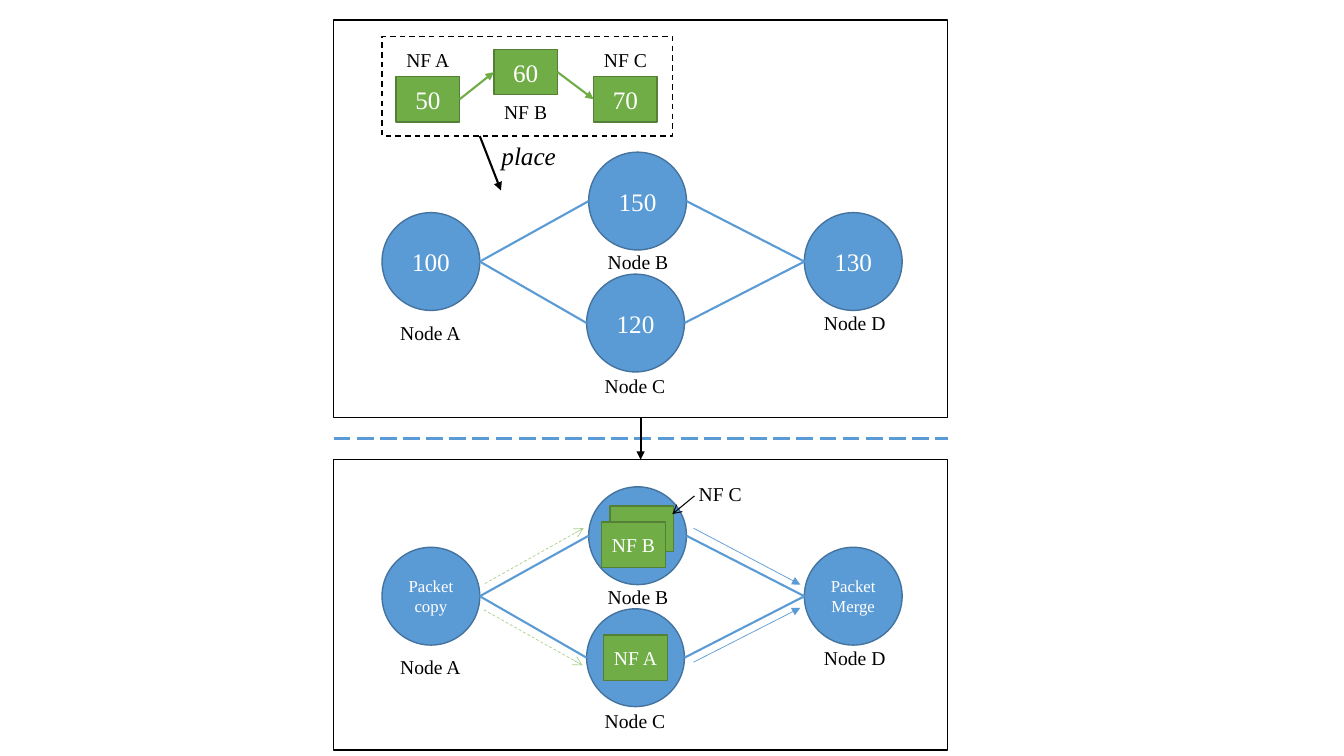
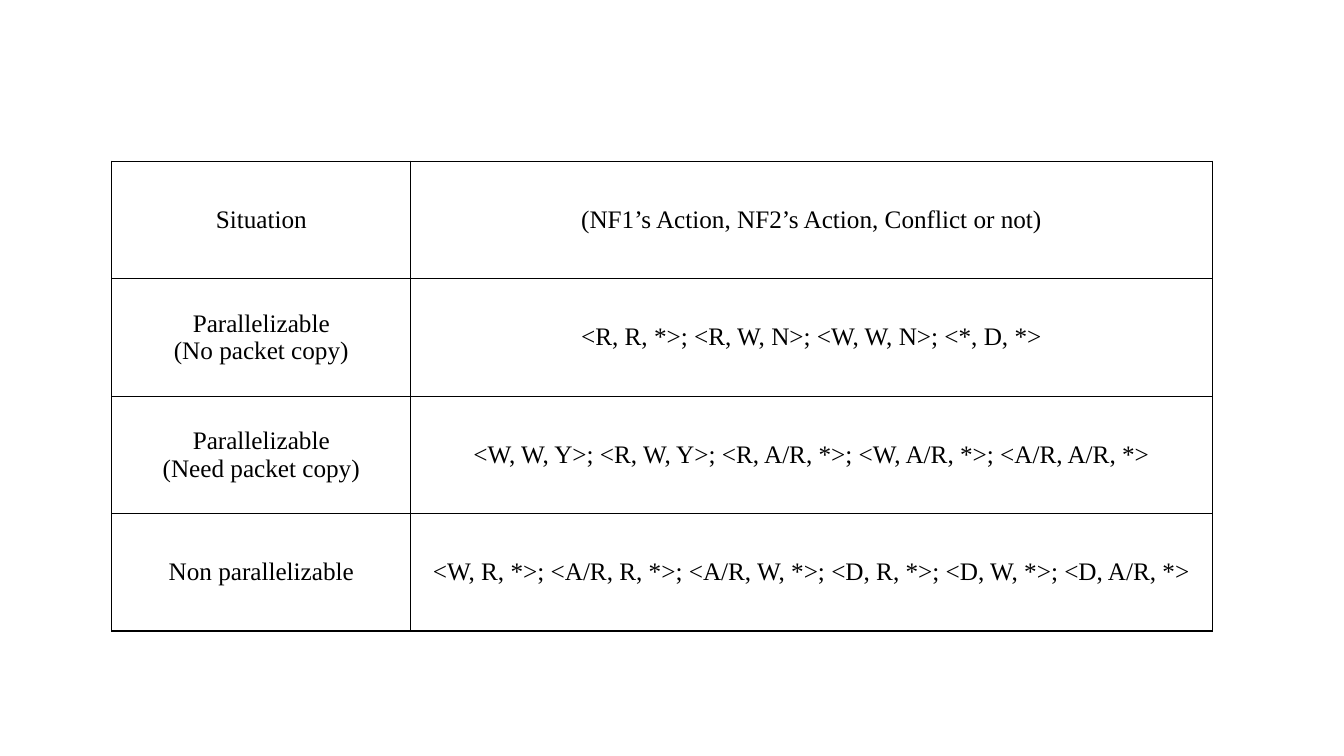
from lxml.etree import SubElement
from pptx import Presentation
from pptx.dml.color import RGBColor
from pptx.enum.dml import MSO_LINE
from pptx.enum.shapes import MSO_CONNECTOR, MSO_SHAPE
from pptx.enum.text import MSO_ANCHOR, PP_ALIGN
from pptx.oxml.ns import qn
from pptx.util import Inches, Pt

# Shared style
FONT = "Times New Roman"
COLORS = {
    "black": "000000", "white": "FFFFFF",
    "blue": "5B9BD5", "dark_blue": "43739E",
    "green": "70AD47", "dark_green": "538035", "light_green": "A9D18E",
}
LARGE, MEDIUM, SMALL = 18, 14, 12

# All lengths are columns and rows of a square grid with this cell, in inches
CELL = 0.1
COLUMNS, ROWS = 133.33, 75

# Elements that occur more than once
DIAMETER = 9.7
FUNCTION_SIZE = (6.3, 4.5)
LABEL_HEIGHT = 3.4
PANEL_LEFT, PANEL_WIDTH = 33.1, 60.9
STAGE_SHIFT = 33.2

# Node name: circle's left and top, label's left and top
NODES = {
    "A": (37.9, 21.1, 38.2, 31.3),
    "B": (58.4, 15.1, 58.8, 24.3),
    "C": (58.2, 27.2, 58.5, 36.6),
    "D": (79.8, 21.1, 80.3, 30.4),
}
LINKS = ("AB", "AC", "BD", "CD")

TABLE_ROWS = [
    ("Situation", "(NF1’s Action, NF2’s Action, Conflict or not)"),
    ("Parallelizable\n(No packet copy)", "<R, R, *>; <R, W, N>; <W, W, N>; <*, D, *>"),
    ("Parallelizable\n(Need packet copy)",
     "<W, W, Y>; <R, W, Y>; <R, A/R, *>; <W, A/R, *>; <A/R, A/R, *>"),
    ("Non parallelizable",
     "<W, R, *>; <A/R, R, *>; <A/R, W, *>; <D, R, *>; <D, W, *>; <D, A/R, *>"),
]


def grid(*cells):
    return [Inches(count * CELL) for count in cells]


def color(name):
    return RGBColor.from_string(COLORS[name])


def write(text_frame, text, size, color_name, italic=False):
    """Write centred paragraphs, one for each line of the text."""
    for index, line in enumerate(text.split("\n")):
        paragraph = text_frame.add_paragraph() if index else text_frame.paragraphs[0]
        paragraph.alignment = PP_ALIGN.CENTER
        run = paragraph.add_run()
        run.text = line
        run.font.name = FONT
        run.font.size = Pt(size)
        run.font.italic = italic
        run.font.color.rgb = color(color_name)


def add_box(slide, kind, area, fill, outline, text="", size=LARGE, dash=None):
    shape = slide.shapes.add_shape(kind, *grid(*area))
    shape.shadow.inherit = False
    if fill:
        shape.fill.solid()
        shape.fill.fore_color.rgb = color(fill)
    else:
        shape.fill.background()
    shape.line.color.rgb = color(outline)
    shape.line.width = Pt(1)
    if dash:
        shape.line.dash_style = dash
    if text:
        shape.text_frame.word_wrap = False
        shape.text_frame.vertical_anchor = MSO_ANCHOR.MIDDLE
        write(shape.text_frame, text, size, "white")


def add_panel(slide, *area, dash=None):
    add_box(slide, MSO_SHAPE.RECTANGLE, area, None, "black", dash=dash)


def add_function(slide, left, top, text="", size=MEDIUM):
    add_box(slide, MSO_SHAPE.RECTANGLE, (left, top, *FUNCTION_SIZE),
            "green", "dark_green", text, size)


def add_label(slide, left, top, width, text, size=MEDIUM, height=LABEL_HEIGHT, italic=False):
    text_box = slide.shapes.add_textbox(*grid(left, top, width, height))
    text_box.text_frame.word_wrap = False
    write(text_box.text_frame, text, size, "black", italic)


def add_line(slide, start, end, color_name, width=1.5, dash=None, arrowhead=None):
    connector = slide.shapes.add_connector(MSO_CONNECTOR.STRAIGHT, *grid(*start, *end))
    connector.line.color.rgb = color(color_name)
    connector.line.width = Pt(width)
    if dash:
        connector.line.dash_style = dash
    properties = connector._element.spPr
    if arrowhead:
        SubElement(properties.find(qn("a:ln")), qn("a:tailEnd"), type=arrowhead)
    SubElement(properties, qn("a:effectLst"))


def add_network(slide, texts, size, shift=0):
    """Draw the four nodes with their links and labels, moved down by shift rows."""
    for name, (left, top, _, _) in NODES.items():
        add_box(slide, MSO_SHAPE.OVAL, (left, top + shift, DIAMETER, DIAMETER),
                "blue", "dark_blue", texts.get(name, ""), size)
    for source, target in LINKS:
        left, top = NODES[source][:2]
        end_left, end_top = NODES[target][:2]
        middle = DIAMETER / 2 + shift
        add_line(slide, (left + DIAMETER, top + middle), (end_left, end_top + middle), "blue")
    for name, (_, _, left, top) in NODES.items():
        add_label(slide, left, top + shift, 9, f"Node {name}")


def add_chain(slide):
    """Draw the chain of network functions that is to be placed."""
    width, height = FUNCTION_SIZE
    chain = [("A", "50", 39.3, 7.6, 4.3), ("B", "60", 49, 4.9, 9.4), ("C", "70", 58.9, 7.6, 4.3)]
    add_panel(slide, 37.9, 3.6, 28.8, 9.9, dash=MSO_LINE.DASH)
    for name, load, left, top, label_top in chain:
        add_function(slide, left, top, load, LARGE)
        add_label(slide, left, label_top, width, f"NF {name}")
    for (_, _, left, top, _), (_, _, next_left, next_top, _) in zip(chain, chain[1:]):
        add_line(slide, (left + width, top + height / 2), (next_left, next_top + height / 2),
                 "green", arrowhead="triangle")
    add_line(slide, (47.6, 13.5), (49.7, 18.9), "black", arrowhead="triangle")
    add_label(slide, 48.7, 13.4, 7.5, "place", LARGE, height=4, italic=True)


def add_packet_flows(slide):
    for start, end in [((48.1, 57.9), (57.9, 52.4)), ((48, 60.5), (57.8, 66))]:
        add_line(slide, start, end, "light_green", 0.5, MSO_LINE.DASH, "arrow")
    for start, end in [((68.8, 65.7), (79.4, 60.3)), ((68.8, 52.4), (79.4, 58))]:
        add_line(slide, start, end, "blue", 0.5, arrowhead="triangle")


def build_placement_slide(slide):
    # Panels and the step between them
    right, middle = PANEL_LEFT + PANEL_WIDTH, PANEL_LEFT + PANEL_WIDTH / 2
    add_panel(slide, PANEL_LEFT, 2, PANEL_WIDTH, 39.4)
    add_panel(slide, PANEL_LEFT, 45.6, PANEL_WIDTH, 28.8)
    add_line(slide, (PANEL_LEFT, 43.5), (right, 43.5), "blue", dash=MSO_LINE.LONG_DASH)
    add_line(slide, (middle, 41.4), (middle, 45.6), "black", arrowhead="triangle")
    # Before placement
    add_network(slide, {"A": "100", "B": "150", "C": "120", "D": "130"}, LARGE)
    add_chain(slide)
    # After placement
    add_network(slide, {"A": "Packet\ncopy", "D": "Packet\nMerge"}, SMALL, STAGE_SHIFT)
    add_function(slide, 59.9, 63, "NF A")
    add_function(slide, 60.5, 50.2)
    add_function(slide, 59.7, 51.8, "NF B")
    add_line(slide, (68.9, 49.2), (66.7, 51), "black", 0.75, arrowhead="arrow")
    add_label(slide, 68.3, 47.3, FUNCTION_SIZE[0], "NF C")
    add_packet_flows(slide)


def format_cell(cell, text):
    cell.margin_left = cell.margin_right = Inches(0.07)
    cell.margin_top = cell.margin_bottom = 0
    cell.vertical_anchor = MSO_ANCHOR.MIDDLE
    properties = cell._tc.get_or_add_tcPr()
    for side in ("lnL", "lnR", "lnT", "lnB"):
        border = SubElement(properties, qn(f"a:{side}"), w=str(Pt(1)))
        fill = SubElement(border, qn("a:solidFill"))
        SubElement(fill, qn("a:srgbClr"), val=COLORS["black"])
    cell.fill.background()
    write(cell.text_frame, text, LARGE, "black")


def build_table_slide(slide):
    widths, row_height = (29.65, 79.5), 11.65
    area = (11.1, 16, sum(widths), row_height * len(TABLE_ROWS))
    table = slide.shapes.add_table(len(TABLE_ROWS), len(widths), *grid(*area)).table
    table.first_row = table.horz_banding = False
    for column, width in zip(table.columns, grid(*widths)):
        column.width = width
    for row, texts in zip(table.rows, TABLE_ROWS):
        for cell, text in zip(row.cells, texts):
            format_cell(cell, text)


def main():
    presentation = Presentation()
    presentation.slide_width, presentation.slide_height = grid(COLUMNS, ROWS)
    blank = presentation.slide_layouts[6]
    for build in (build_placement_slide, build_table_slide):
        build(presentation.slides.add_slide(blank))
    presentation.save("out.pptx")


if __name__ == "__main__":
    main()
